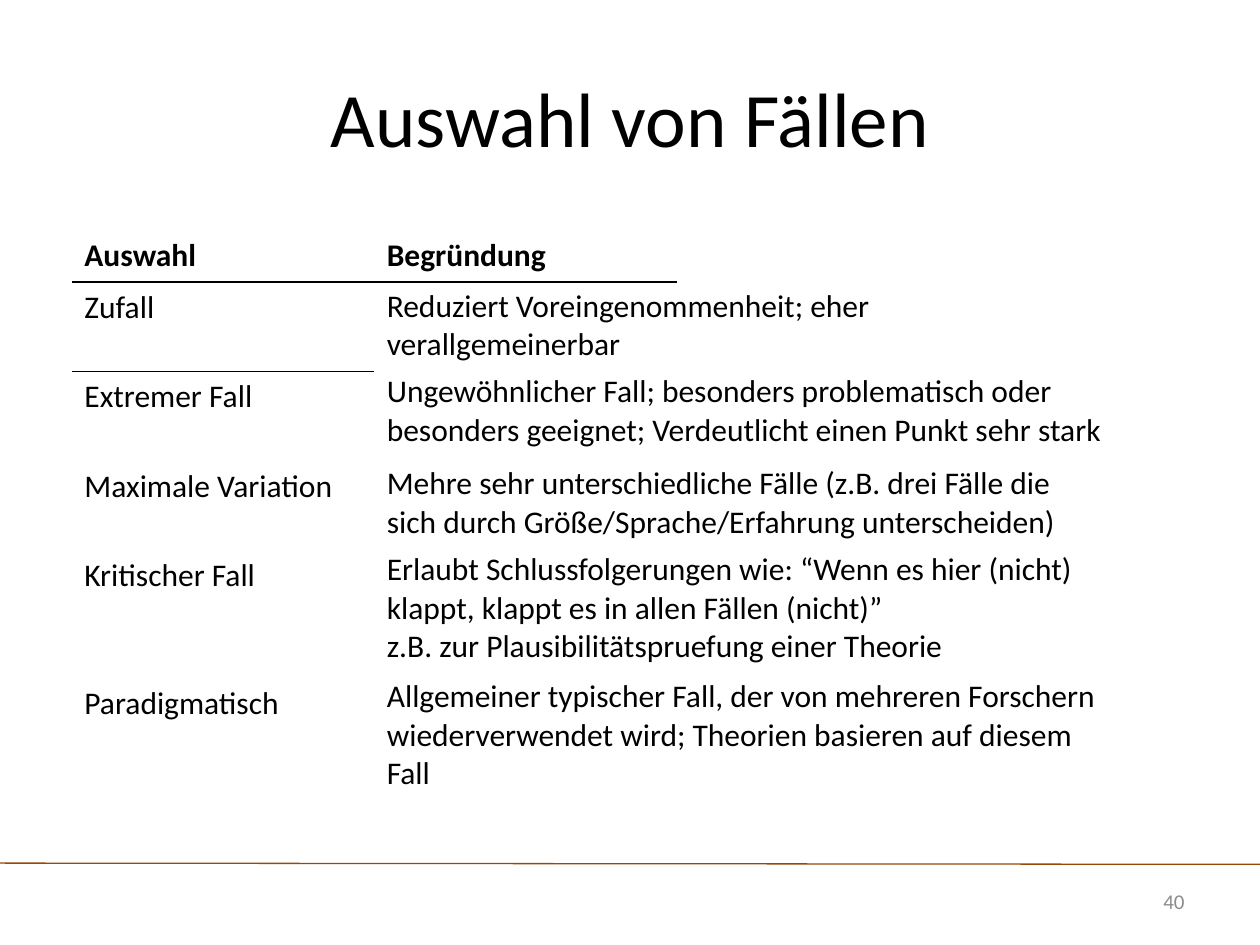
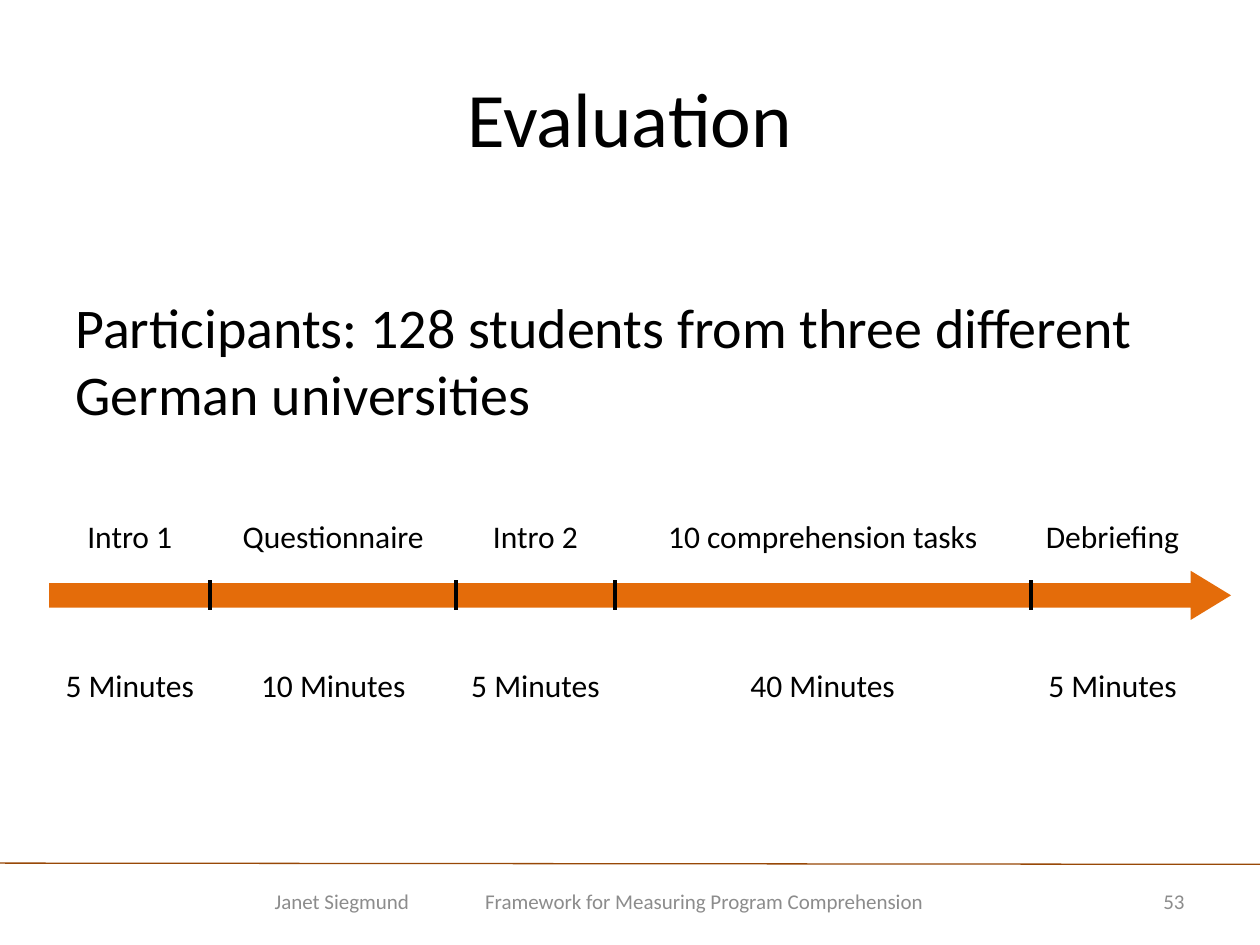
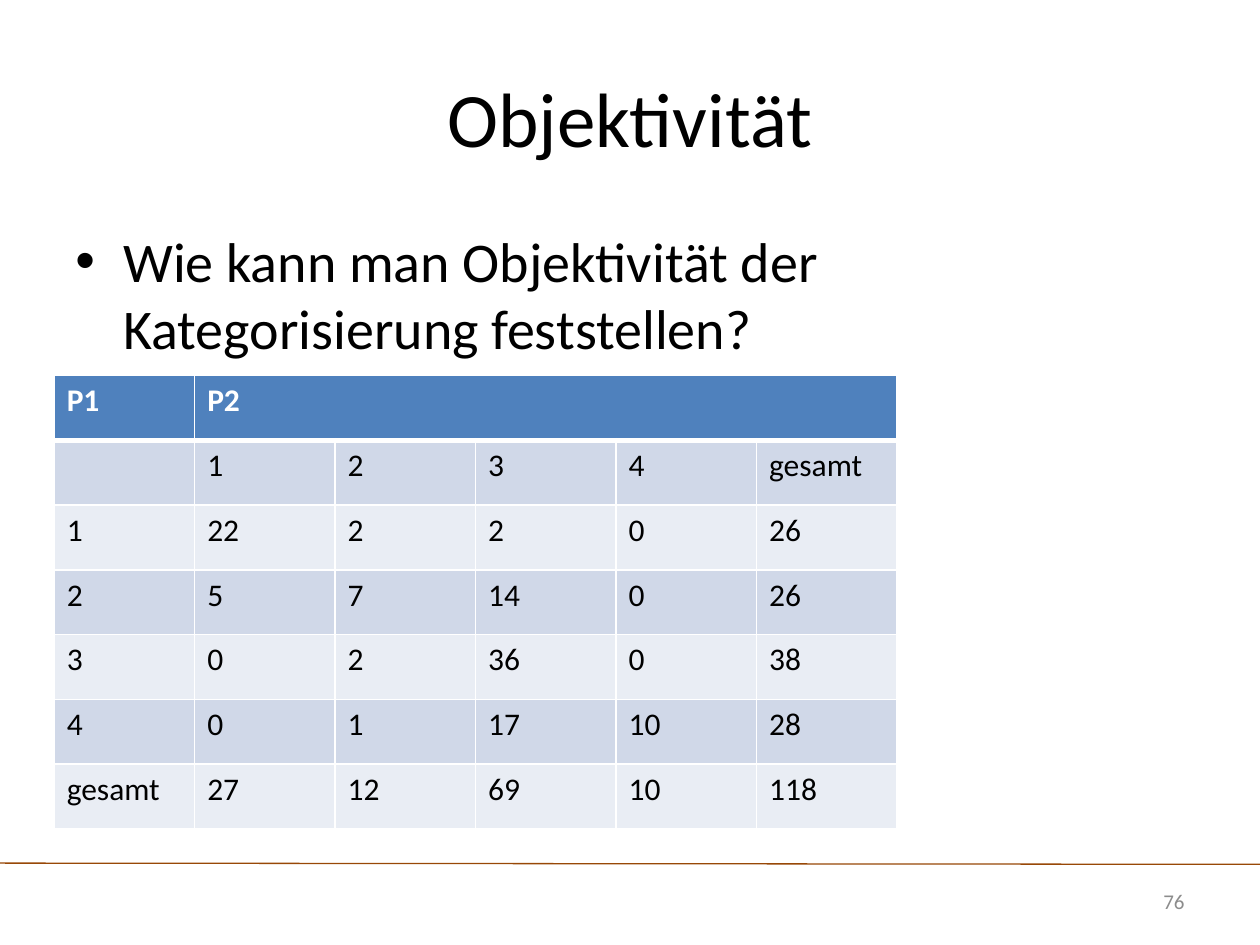
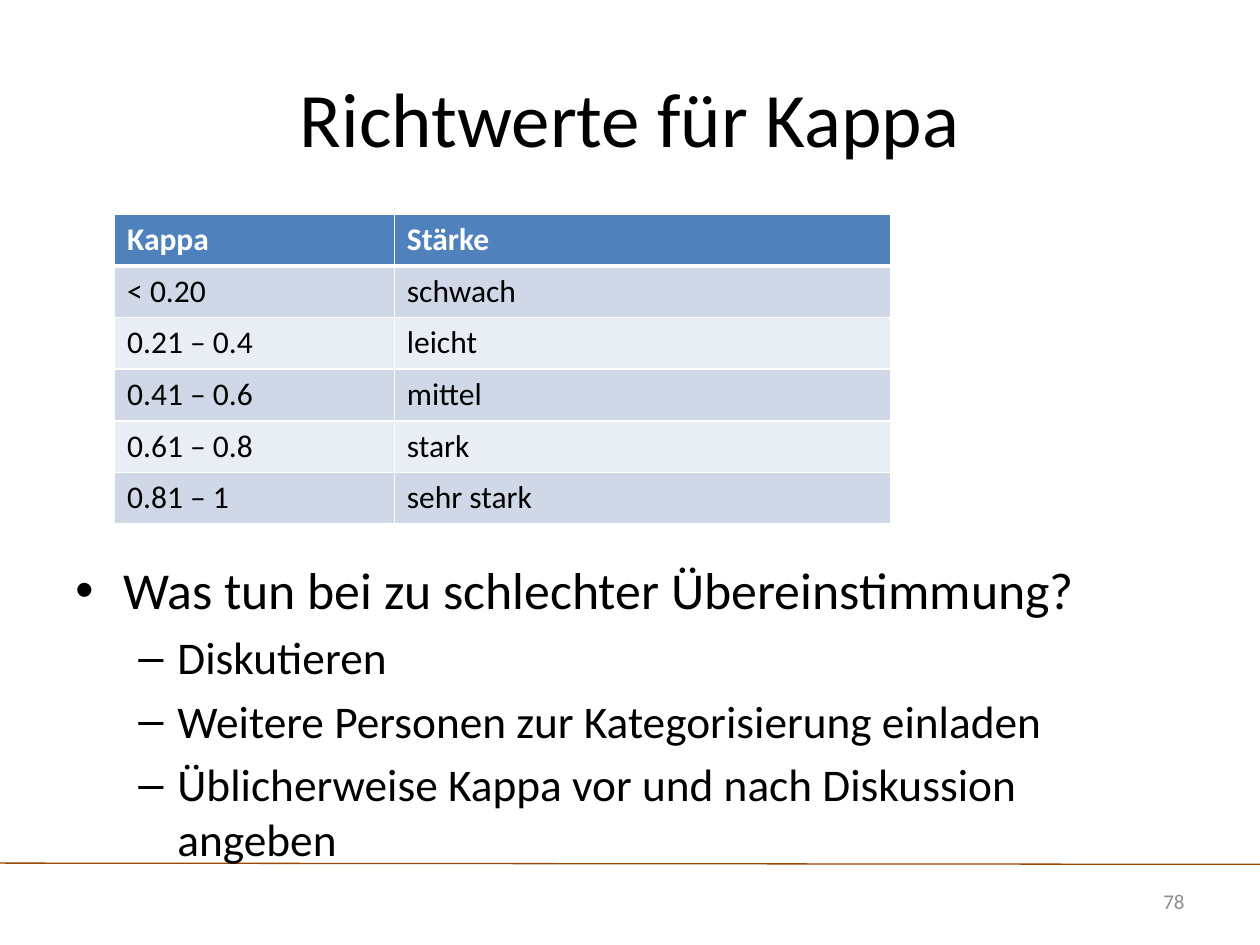
"""Builds four lecture slides on case selection, evaluation and rater agreement."""
from itertools import pairwise
from lxml.etree import SubElement as Sub
from pptx import Presentation
from pptx.dml.color import RGBColor as RGB
from pptx.enum.shapes import MSO_CONNECTOR as Conn, MSO_SHAPE as Shape
from pptx.enum.text import MSO_ANCHOR as Anchor, PP_ALIGN as Align
from pptx.oxml.ns import qn
from pptx.util import Inches, Pt

BLACK = RGB(0x00, 0x00, 0x00)
WHITE = RGB(0xFF, 0xFF, 0xFF)
GREY = RGB(0x8C, 0x8C, 0x8C)
BROWN = RGB(0x98, 0x48, 0x07)
ORANGE = RGB(0xE4, 0x6C, 0x0A)
BLUE = RGB(0x4F, 0x81, 0xBD)
BANDS = RGB(0xE9, 0xED, 0xF4), RGB(0xD0, 0xD8, 0xE8)
FONT = "Calibri"
NO_STYLE = "{2D5ABB26-0587-4C30-8999-92F81FD0307C}"
ROW = 0.41

CASES = ["Auswahl", "Zufall", "Extremer Fall", "Maximale Variation",
         "Kritischer Fall", "Paradigmatisch"]
CASE_ROWS = [ROW, 0.71, 0.71, 0.71, 1.01, ROW]
REASONS = [
    (1.83, 2.4, "Begründung"),
    (2.23, 4.69, "Reduziert Voreingenommenheit; eher verallgemeinerbar"),
    (2.91, 5.94, "Ungewöhnlicher Fall; besonders problematisch oder\n"
                 "besonders geeignet; Verdeutlicht einen Punkt sehr stark"),
    (3.64, 5.94, "Mehre sehr unterschiedliche Fälle (z.B. drei Fälle die\n"
                 "sich durch Größe/Sprache/Erfahrung unterscheiden)"),
    (4.32, 5.94, "Erlaubt Schlussfolgerungen wie: “Wenn es hier (nicht)\n"
                 "klappt, klappt es in allen Fällen (nicht)”\n"
                 "z.B. zur Plausibilitätspruefung einer Theorie"),
    (5.33, 5.94, "Allgemeiner typischer Fall, der von mehreren Forschern\n"
                 "wiederverwendet wird; Theorien basieren auf diesem\n"
                 "Fall"),
]
PEOPLE = "Participants: 128 students from three different German universities"
CREDIT = "Janet Siegmund\tFramework for Measuring Program Comprehension"
EDGES = [0.39, 1.67, 3.62, 4.88, 8.18, 9.48]
STEPS = [("Intro 1", 5), ("Questionnaire", 10), ("Intro 2", 5),
         ("10 comprehension tasks", 40), ("Debriefing", 5)]
QUESTION = [(0, "Wie kann man Objektivität der Kategorisierung feststellen?")]
RATINGS = [
    ["P1", "P2", "", "", "", ""],
    ["", "1", "2", "3", "4", "gesamt"],
    ["1", "22", "2", "2", "0", "26"],
    ["2", "5", "7", "14", "0", "26"],
    ["3", "0", "2", "36", "0", "38"],
    ["4", "0", "1", "17", "10", "28"],
    ["gesamt", "27", "12", "69", "10", "118"],
]
KAPPA = [
    ["Kappa", "Stärke"],
    ["< 0.20", "schwach"],
    ["0.21 – 0.4", "leicht"],
    ["0.41 – 0.6", "mittel"],
    ["0.61 – 0.8", "stark"],
    ["0.81 – 1", "sehr stark"],
]
ADVICE = [
    (0, "Was tun bei zu schlechter Übereinstimmung?"),
    (1, "Diskutieren"),
    (1, "Weitere Personen zur Kategorisierung einladen"),
    (1, "Üblicherweise Kappa vor und nach Diskussion angeben"),
]
LEVELS = [("•", 0.38, 0.38), ("–", 0.81, 0.31)]


def style(par, size, color=BLACK, bold=False):
    for run in par.runs:
        font = run.font
        font.name, font.size, font.bold = FONT, Pt(size), bold
        font.color.rgb = color


def label(slide, box, text, size, color=BLACK, align=Align.CENTER, anchor=Anchor.MIDDLE):
    frame = slide.shapes.add_textbox(*map(Inches, box)).text_frame
    frame.word_wrap, frame.vertical_anchor = True, anchor
    frame.text = text
    par = frame.paragraphs[0]
    par.alignment = align
    style(par, size, color)
    return frame


def line(slide, start, end, color, width):
    rule = slide.shapes.add_connector(Conn.STRAIGHT, *map(Inches, start + end))
    rule.line.color.rgb, rule.line.width = color, Pt(width)
    Sub(rule._element.spPr, qn("a:effectLst"))


def bullets(slide, box, items, sizes):
    frame = slide.shapes.add_textbox(*map(Inches, box)).text_frame
    frame.word_wrap = True
    frame.text = "\n".join(text for _, text in items)
    for i, (par, (level, _)) in enumerate(zip(frame.paragraphs, items)):
        mark, left, hang = LEVELS[level]
        par.level = level
        if i:
            par.space_before = Pt(round(sizes[level] * 0.2, 1))
        props = par._p.get_or_add_pPr()
        props.set("marL", str(Inches(left)))
        props.set("indent", str(-Inches(hang)))
        Sub(props, qn("a:buFont"), typeface="Arial")
        Sub(props, qn("a:buChar"), char=mark)
        style(par, sizes[level])


def border(cell, side, color, width):
    edge = Sub(cell._tc.get_or_add_tcPr(), qn("a:ln" + side), w=str(Pt(width)))
    Sub(Sub(edge, qn("a:solidFill")), qn("a:srgbClr"), val=str(color))


def grid(slide, spot, cols, rows, data, banded=False, rule=False):
    size = sum(cols), sum(rows)
    shape = slide.shapes.add_table(len(rows), len(cols), *map(Inches, spot + size))
    next(shape._element.iter(qn("a:tableStyleId"))).text = NO_STYLE
    table = shape.table
    for col, width in zip(table.columns, cols):
        col.width = Inches(width)
    for r, (row, height, texts) in enumerate(zip(table.rows, rows, data)):
        row.height = Inches(height)
        head = r == 0 and (banded or rule)
        for cell, text in zip(row.cells, texts):
            cell.text_frame.text = text
            for par in cell.text_frame.paragraphs:
                style(par, 18, WHITE if banded and head else BLACK, head)
            if banded:
                for side in "LRTB":
                    thick = (r == 0 and side == "B") or (r == 1 and side == "T")
                    border(cell, side, WHITE, 3 if thick else 1)
                cell.fill.solid()
                cell.fill.fore_color.rgb = BLUE if head else BANDS[r % 2]
            elif rule and r < 2:
                border(cell, "T" if r else "B", BLACK, 1)
    return table


def page(deck, title, number):
    slide = deck.slides.add_slide(deck.slide_layouts[6])
    line(slide, (0, 6.85), (10, 6.86), BROWN, 0.75)
    label(slide, (0.5, 0.3, 9, 1.25), title, 44)
    label(slide, (8.59, 6.95, 0.91, 0.4), str(number), 12, GREY, Align.RIGHT)
    return slide


def cases(deck):
    slide = page(deck, "Auswahl von Fällen", 40)
    grid(slide, (0.57, 1.83), [2.4], CASE_ROWS, [[c] for c in CASES], rule=True)
    for i, (top, width, text) in enumerate(REASONS):
        height = ROW + 0.3 * text.count("\n")
        grid(slide, (2.97, top), [width], [height], [[text]], rule=i == 0)


def study(deck):
    slide = page(deck, "Evaluation", 53)
    foot = label(slide, (1.85, 6.95, 5.81, 0.4), CREDIT, 12, GREY, Align.LEFT)
    foot.margin_left = Inches(0.33)
    tabs = Sub(foot.paragraphs[0]._p.get_or_add_pPr(), qn("a:tabLst"))
    Sub(tabs, qn("a:tab"), pos=str(Inches(1.67)), algn="l")
    label(slide, (0.5, 2.27, 9, 1.2), PEOPLE, 32, align=Align.LEFT, anchor=Anchor.TOP)
    arrow = slide.shapes.add_shape(
        Shape.RIGHT_ARROW, *map(Inches, (EDGES[0], 4.53, 9.38, 0.39)))
    arrow.adjustments[0], arrow.adjustments[1] = 0.5, 0.82
    arrow.shadow.inherit = False
    arrow.fill.solid()
    arrow.fill.fore_color.rgb = ORANGE
    arrow.line.fill.background()
    for (left, right), (name, time) in zip(pairwise(EDGES), STEPS):
        for top, text in ((3.98, name), (5.16, f"{time} Minutes")):
            label(slide, (left, top, right - left, 0.55), text, 18)
    for x in EDGES[1:-1]:
        line(slide, (x, 4.84), (x, 4.6), BLACK, 2.25)


def ratings(deck):
    slide = page(deck, "Objektivität", 76)
    bullets(slide, (0.5, 1.75, 7.2, 1.2), QUESTION, [32])
    rows = [3.6 / len(RATINGS)] * len(RATINGS)
    table = grid(slide, (0.43, 2.98), [6.69 / 6] * 6, rows, RATINGS, banded=True)
    table.cell(0, 1).merge(table.cell(0, 5))


def kappa(deck):
    slide = page(deck, "Richtwerte für Kappa", 78)
    grid(slide, (0.91, 1.7), [2.22, 3.94], [ROW] * len(KAPPA), KAPPA, banded=True)
    bullets(slide, (0.5, 4.38, 9, 2.32), ADVICE, [29.6, 25.9])


def main():
    deck = Presentation()
    deck.slide_width, deck.slide_height = Inches(10), Inches(7.5)
    for build in (cases, study, ratings, kappa):
        build(deck)
    deck.save("out.pptx")


if __name__ == "__main__":
    main()
